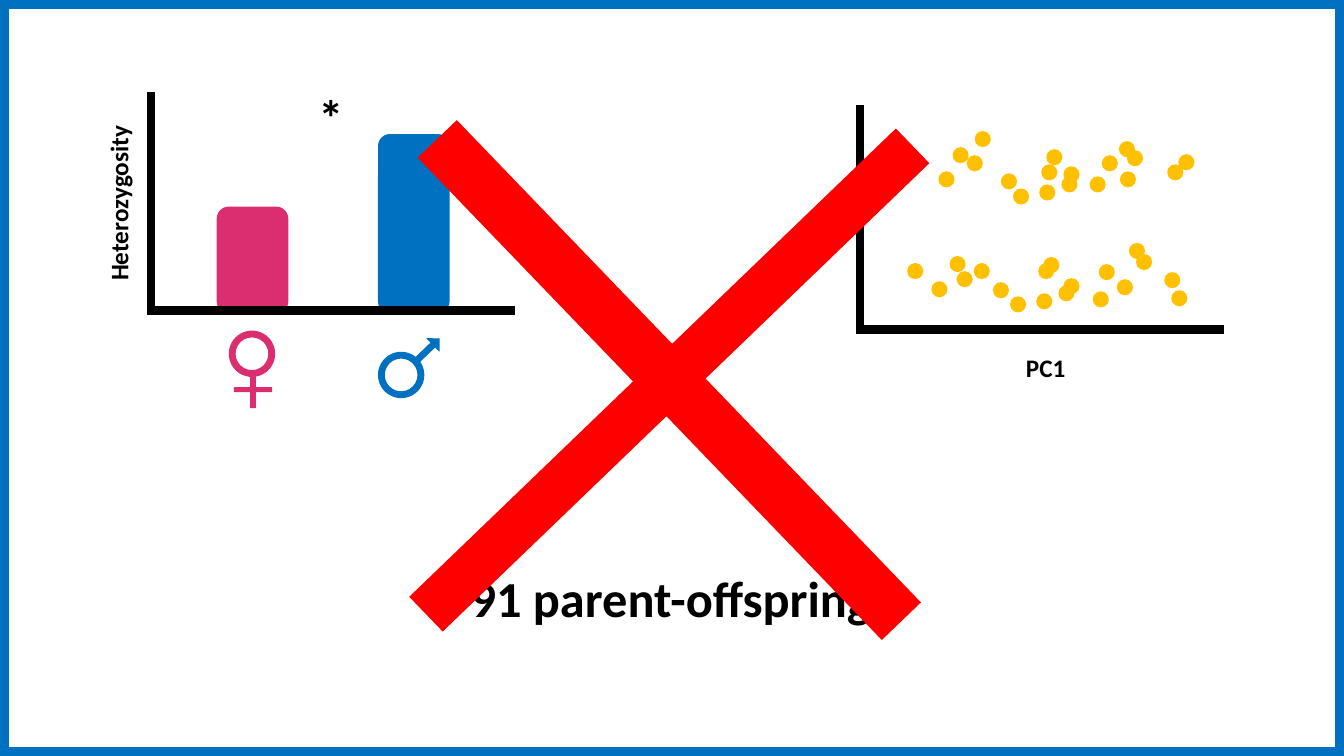
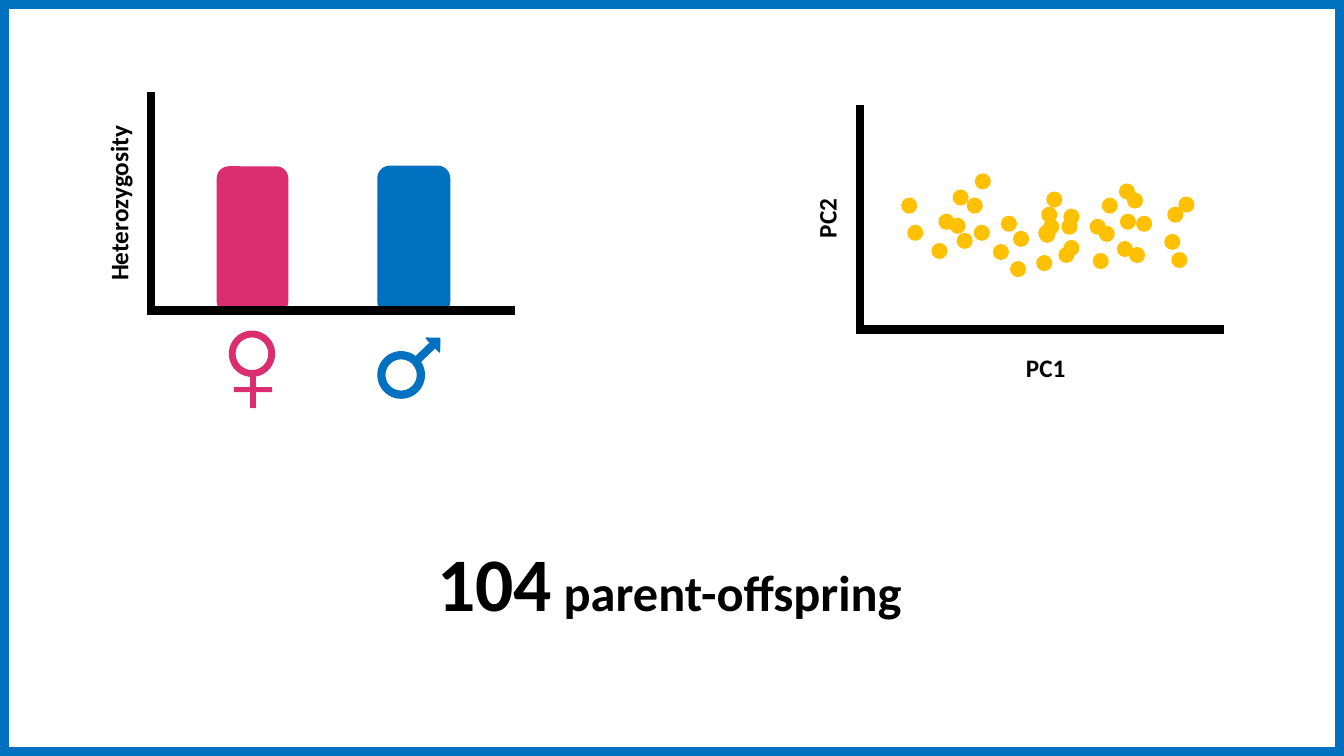
from lxml import etree
from pptx import Presentation
from pptx.dml.color import RGBColor
from pptx.enum.shapes import MSO_CONNECTOR, MSO_SHAPE
from pptx.enum.text import MSO_AUTO_SIZE
from pptx.oxml.ns import qn
from pptx.util import Inches, Pt

# Grid: one column or row is a tenth of an inch
CELL = Inches(0.1)
COLUMNS, ROWS = 133.33, 75

BLUE, PINK, GOLD = "0070C0", "DA2E70", "FFC000"
RED, BLACK, WHITE = "FF0000", "000000", "FFFFFF"
FONT = "Calibri"
TILT = 316.1
BAR_WIDTH, BAR_FOOT = 7.1, 31.1
DOT = 1.6

# Points (column, row) of the two scatter clusters
UPPER_CLUSTER = [
    (93.1, 17), (95.9, 15.4), (94.5, 14.6), (96.7, 13), (100.5, 18.7),
    (99.3, 17.2), (103.1, 18.3), (105.5, 16.5), (105.3, 17.5), (109.3, 15.4),
    (103.8, 14.8), (103.3, 16.3), (111, 14), (111.8, 14.9), (108.1, 17.5),
    (89.4, 15.4), (111.1, 17), (115.8, 16.3), (116.9, 15.3),
]
LOWER_CLUSTER = [
    (92.4, 27.9), (96.6, 26.1), (94.2, 25.4), (94.9, 26.9), (98.5, 28),
    (102.8, 29.1), (105.5, 27.6), (105, 28.3), (109, 26.2), (103.5, 25.5),
    (103, 26.1), (112.7, 25.2), (108.4, 28.9), (90, 26.1), (110.8, 27.7),
    (115.5, 27), (116.2, 28.8),
]


def cells(*counts):
    return [round(count * CELL) for count in counts]


def color(hex_code):
    return RGBColor.from_string(hex_code)


def add_figure(shapes, preset, box, fill, adjust=(), turn=0, outline=0):
    figure = shapes.add_shape(preset, *cells(*box))
    figure.shadow.inherit = False
    figure.fill.solid()
    figure.fill.fore_color.rgb = color(fill)
    if outline:
        figure.line.color.rgb = color(fill)
        figure.line.width = Pt(outline)
    else:
        figure.line.fill.background()
    for index, share in enumerate(adjust):
        figure.adjustments[index] = share
    figure.rotation = turn


def add_axis(slide, start, end):
    axis = slide.shapes.add_connector(
        MSO_CONNECTOR.STRAIGHT, *cells(*start, *end))
    axis.line.color.rgb = color(BLACK)
    axis.line.width = Pt(6)
    etree.SubElement(axis._element.spPr, qn("a:effectLst"))


def add_label(slide, box, pieces, turn=0, wrap=False):
    """Bold text; pieces are (text, size) pairs on one line."""
    label = slide.shapes.add_textbox(*cells(*box))
    label.rotation = turn
    frame = label.text_frame
    frame.word_wrap = wrap
    frame.auto_size = MSO_AUTO_SIZE.SHAPE_TO_FIT_TEXT
    for text, size in pieces:
        run = frame.paragraphs[0].add_run()
        run.text = text
        run.font.name = FONT
        run.font.size = Pt(size)
        run.font.bold = True
        run.font.color.rgb = color(BLACK)


def add_framed_slide(prs):
    slide = prs.slides.add_slide(prs.slide_layouts[6])
    slide.background.fill.solid()
    slide.background.fill.fore_color.rgb = color(BLUE)
    margin = 0.9
    add_figure(slide.shapes, MSO_SHAPE.RECTANGLE,
               (margin, margin, COLUMNS - 2 * margin, ROWS - 2 * margin),
               WHITE)
    return slide


def add_scatter(slide, upper_shift, lower_shift, stray_points):
    add_axis(slide, (85.3, 10.4), (85.3, 32.6))
    add_axis(slide, (121.4, 32.7), (84.9, 32.7))
    add_label(slide, (79, 19.6, 6, 4), [("PC2", 18)], turn=270)
    add_label(slide, (100.8, 34.5, 6, 4), [("PC1", 18)])
    points = [(x, y + upper_shift) for x, y in UPPER_CLUSTER]
    points += [(x, y + lower_shift) for x, y in LOWER_CLUSTER]
    for x, y in points + stray_points:
        add_figure(slide.shapes, MSO_SHAPE.OVAL, (x, y, DOT, DOT), GOLD)


def add_sex_symbols(slide, male_outline):
    ring = [0.147]
    female = slide.shapes.add_group_shape().shapes
    add_figure(female, MSO_SHAPE.DONUT, (22.7, 32.8, 4.6, 4.6), PINK, ring)
    add_figure(female, MSO_SHAPE.CROSS, (23.2, 36.8, 3.8, 3.7), PINK, [0.434])
    male = slide.shapes.add_group_shape().shapes
    add_figure(male, MSO_SHAPE.DONUT, (37.5, 34.9, 4.6, 4.6), BLUE, ring,
               outline=male_outline)
    add_figure(male, MSO_SHAPE.RIGHT_ARROW, (40.7, 33.8, 3.4, 1.9), BLUE,
               [0.353, 0.5], TILT, male_outline)


def add_heterozygosity(slide, female_top, male_top, male_outline=0):
    add_axis(slide, (15, 9.1), (15, 31.2))
    for left, top, fill, outline in ((21.5, female_top, PINK, 0),
                                     (37.5, male_top, BLUE, male_outline)):
        add_figure(slide.shapes, MSO_SHAPE.ROUNDED_RECTANGLE,
                   (left, top, BAR_WIDTH, BAR_FOOT - top), fill,
                   outline=outline)
    add_axis(slide, (51.1, 30.8), (14.6, 30.8))
    add_label(slide, (3, 18.1, 17.5, 4), [("Heterozygosity", 18)], turn=270)
    add_sex_symbols(slide, male_outline)


def main():
    prs = Presentation()
    prs.slide_width, prs.slide_height = cells(COLUMNS, ROWS)

    # Sexes differ and clusters split: crossed out
    rejected = add_framed_slide(prs)
    add_scatter(rejected, 0, 0, [(100.2, 29.4), (112, 24.1)])
    add_label(rejected, (45.7, 55.8, 42.6, 7.1),
              [("91 parent-offspring", 36)], wrap=True)
    add_heterozygosity(rejected, 20.5, 13.3)
    add_label(rejected, (30.6, 8, 4.5, 7.1), [("*", 36)])
    add_figure(rejected.shapes, MSO_SHAPE.CROSS, (32.9, 4.5, 67, 66.4), RED,
               [0.464], TILT)

    # Equal sexes and a single cluster
    accepted = add_framed_slide(prs)
    add_scatter(accepted, 4.2, -3.8, [(100.2, 25.9), (112, 24.5)])
    add_label(accepted, (42.4, 52.7, 49.1, 10.1),
              [("104", 54), (" parent-offspring", 36)], wrap=True)
    add_heterozygosity(accepted, 16.5, 16.5, male_outline=1)

    prs.save("out.pptx")


if __name__ == "__main__":
    main()
